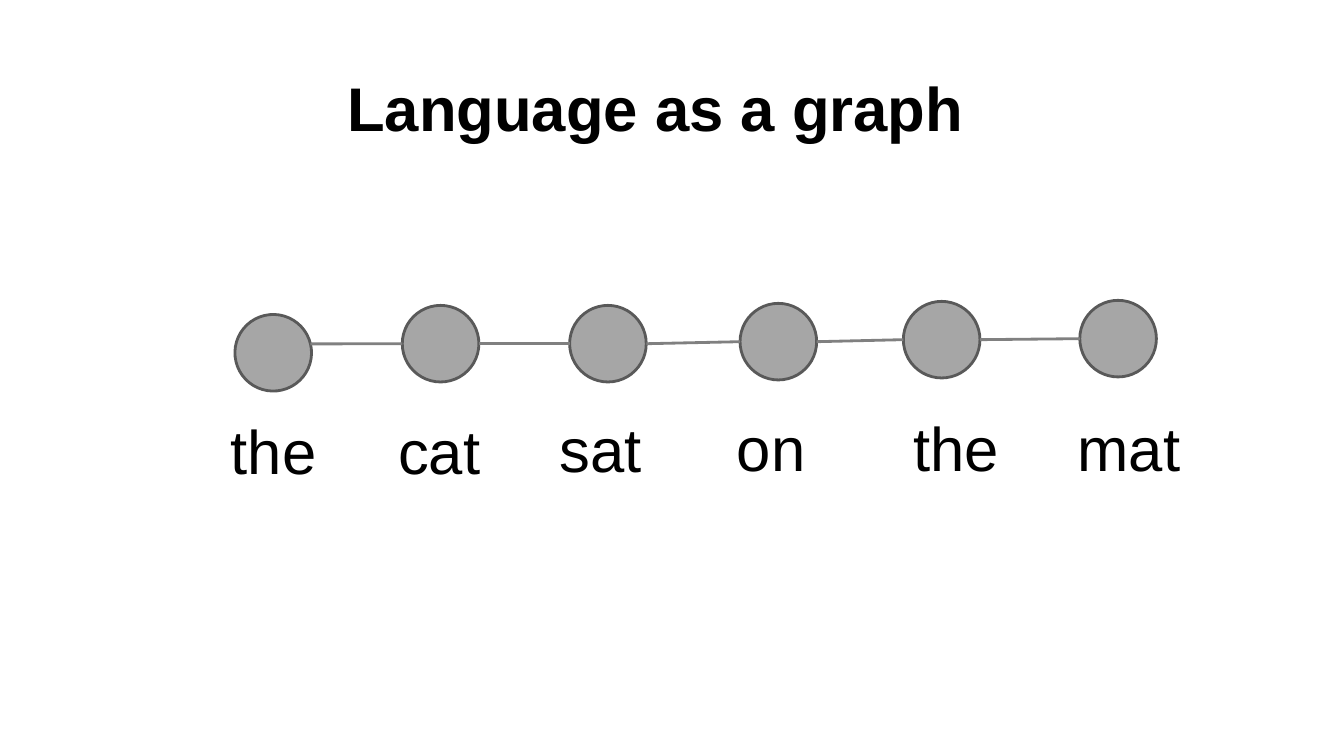
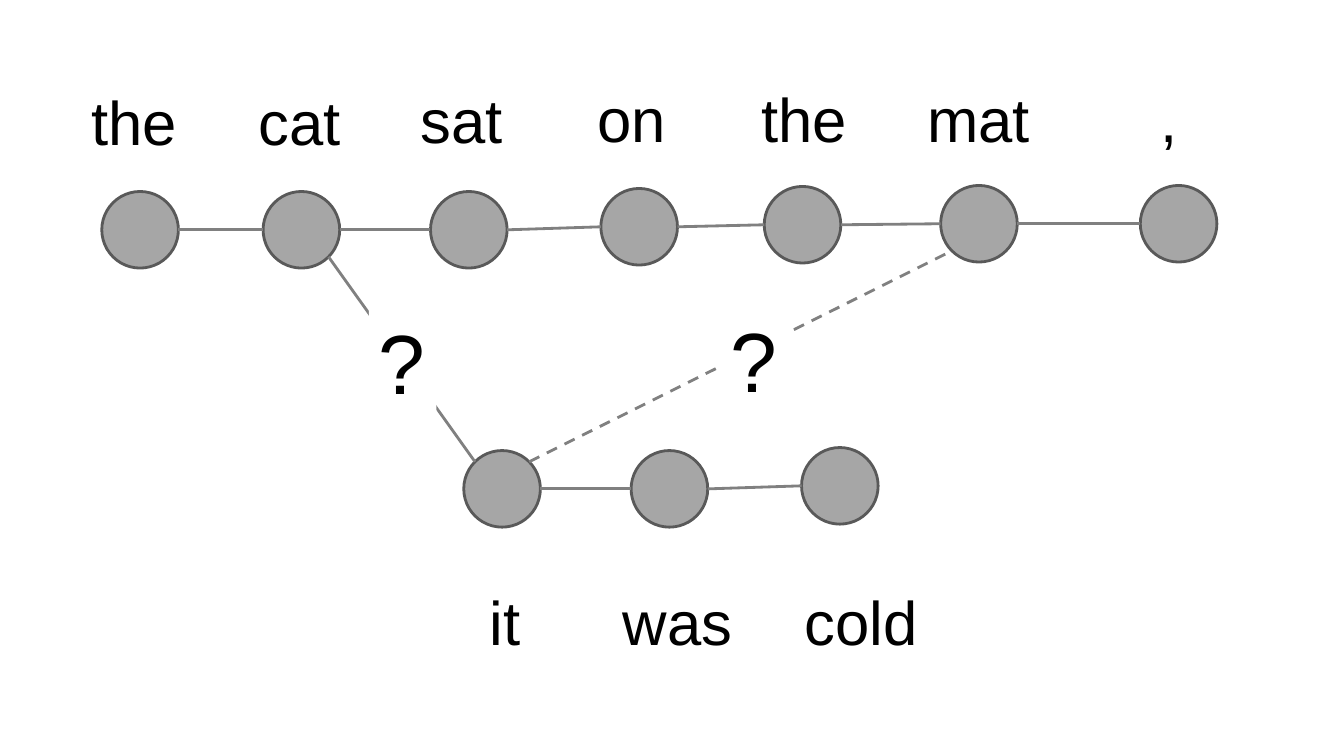
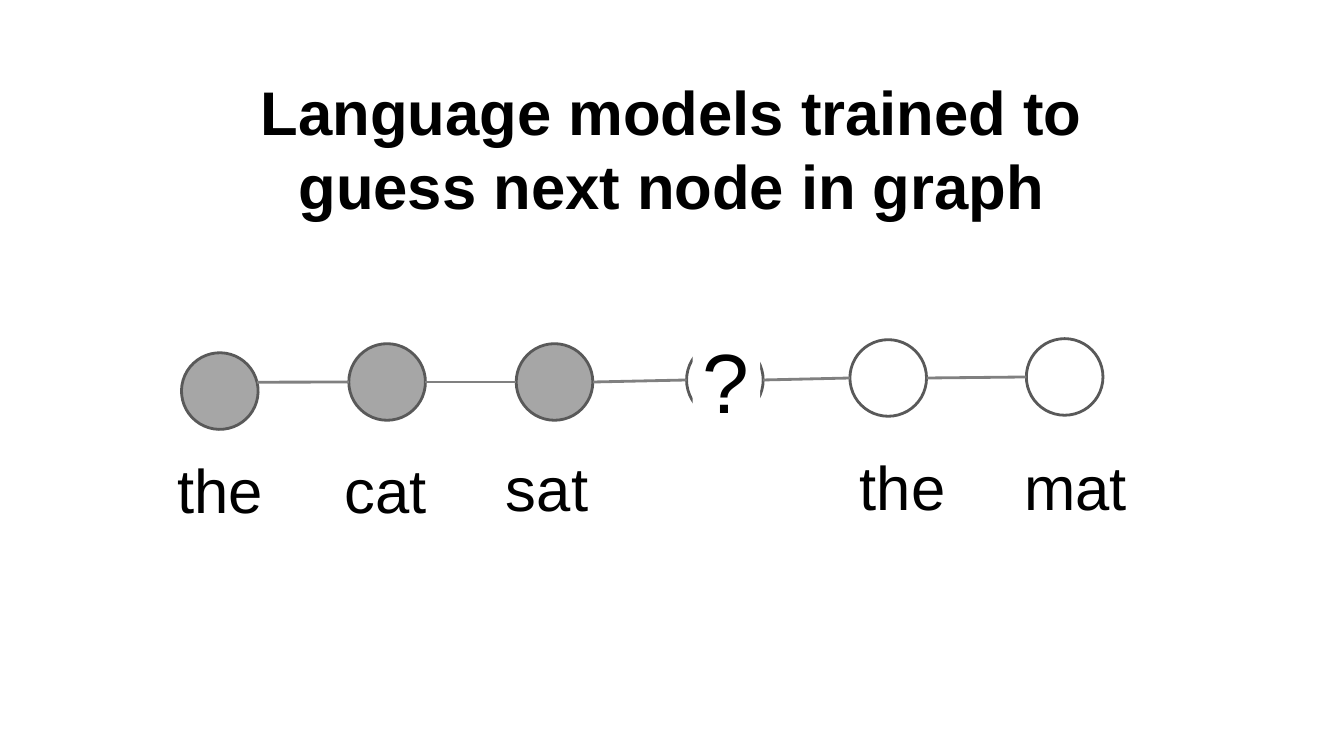
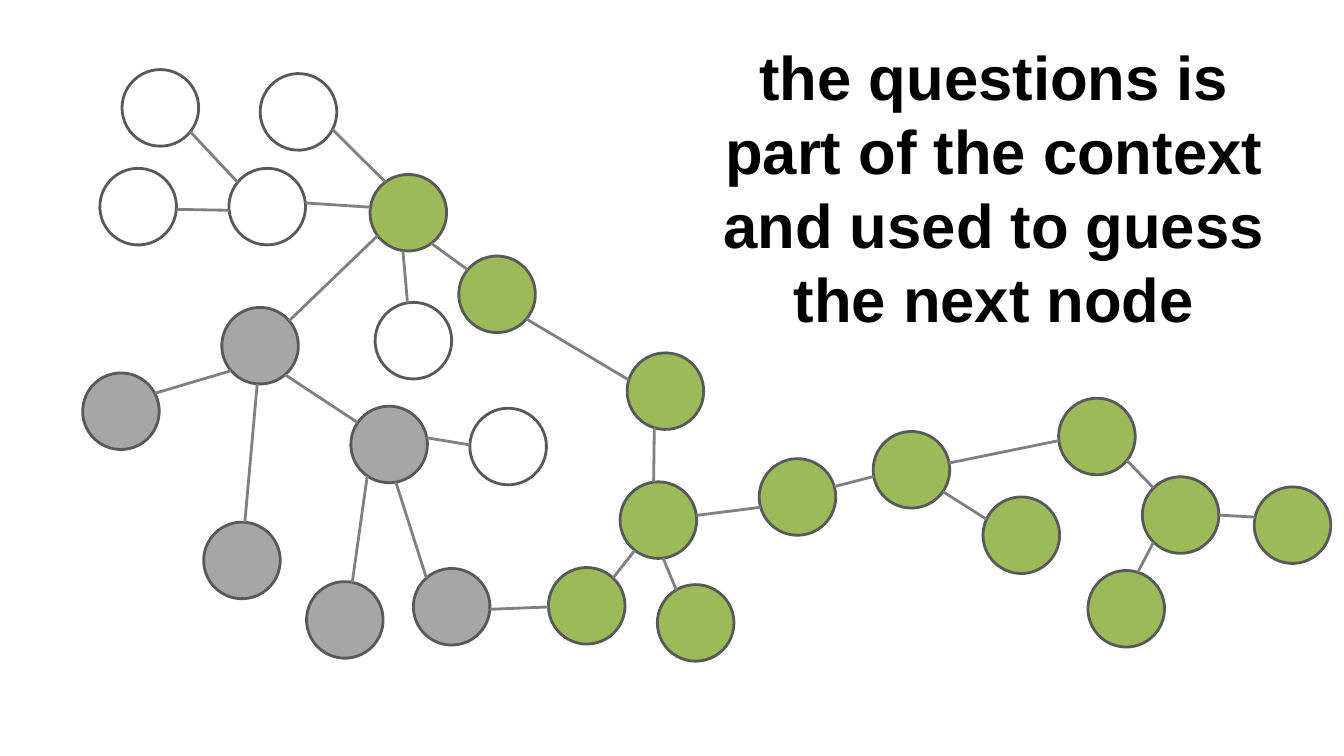
from itertools import pairwise
from math import atan2, cos, degrees, radians, sin
from typing import NamedTuple

from pptx import Presentation
from pptx.dml.color import RGBColor
from pptx.enum.dml import MSO_LINE
from pptx.enum.shapes import MSO_CONNECTOR as CONN, MSO_SHAPE as SHAPE
from pptx.enum.text import MSO_ANCHOR as ANCHOR, MSO_AUTO_SIZE as FIT, PP_ALIGN as ALIGN
from pptx.oxml.ns import qn
from pptx.util import Inches, Pt

COLORS = {
    "text": "000000",
    "white": "FFFFFF",
    "grey": "A6A6A6",
    "green": "9BBB59",
    "outline": "595959",
    "edge": "808080",
}
FONT = "Arial"
DIAMETER = 0.76
STROKE = 2
TITLE_ONLY, BLANK = 5, 6

# Box width of each word
WORD_WIDTH = {"the": 1.23, "cat": 1.2, "sat": 1.2, "on": 1.06, "mat": 1.4,
              ",": 0.55, "it": 0.51, "was": 1.3, "cold": 1.33}


class Node(NamedTuple):
    x: float
    y: float
    fill: str | None = "grey"
    rot: float = 0

    def center(self):
        return self.x + DIAMETER / 2, self.y + DIAMETER / 2

    def site_toward(self, other):
        """Of the eight sites, 45 degrees apart, the one that best faces other."""
        (cx, cy), (ox, oy) = self.center(), other.center()
        aim = degrees(atan2(oy - cy, ox - cx))
        angle = radians(self.rot + 45 * round((aim - self.rot) / 45))
        return cx + DIAMETER / 2 * cos(angle), cy + DIAMETER / 2 * sin(angle)


# The sentence that slides 1 and 3 share
SENTENCE_NODES = [Node(2.33, 3.12, rot=31.6), Node(3.99, 3.03), Node(5.65, 3.03),
                  Node(7.34, 3.01), Node(8.96, 2.99), Node(10.71, 2.98)]
SENTENCE_WORDS = [("the", 2.19, 4.05), ("cat", 3.85, 4.05), ("sat", 5.45, 4.03),
                  ("on", 7.21, 4.02), ("the", 8.96, 4.02), ("mat", 10.59, 4.02)]


def rgb(name):
    return RGBColor.from_string(COLORS[name])


def set_font(p, size, bold=False):
    p.font.name = FONT
    p.font.size = Pt(size)
    p.font.bold = bold
    p.font.color.rgb = rgb("text")


def add_title(slide, text, x, y, w, h):
    sp = slide.shapes.title
    sp.left, sp.top, sp.width, sp.height = map(Inches, (x, y, w, h))
    tf = sp.text_frame
    tf.text = text
    tf.word_wrap = True
    tf.auto_size = FIT.SHAPE_TO_FIT_TEXT
    tf.vertical_anchor = ANCHOR.TOP
    p = tf.paragraphs[0]
    p.alignment = ALIGN.CENTER
    set_font(p, 44, bold=True)


def add_label(slide, text, x, y, w, h, size):
    sp = slide.shapes.add_textbox(*map(Inches, (x, y, w, h)))
    tf = sp.text_frame
    tf.text = text
    tf.word_wrap = False
    tf.auto_size = FIT.SHAPE_TO_FIT_TEXT
    set_font(tf.paragraphs[0], size)
    return sp


def add_words(slide, words):
    for text, x, y in words:
        add_label(slide, text, x, y, WORD_WIDTH[text], 0.84, 44)


def add_question(slide, x, y):
    sp = add_label(slide, "?", x, y, 0.67, 1.11, 60)
    sp.fill.solid()
    sp.fill.fore_color.rgb = rgb("white")


def add_node(slide, node):
    sp = slide.shapes.add_shape(
        SHAPE.OVAL, *map(Inches, (node.x, node.y, DIAMETER, DIAMETER)))
    sp.shadow.inherit = False
    sp.rotation = node.rot
    if node.fill:
        sp.fill.solid()
        sp.fill.fore_color.rgb = rgb(node.fill)
    else:
        sp.fill.background()
    sp.line.color.rgb = rgb("outline")
    sp.line.width = Pt(STROKE)


def add_edge(slide, a, b, dashed=False):
    ends = a.site_toward(b) + b.site_toward(a)
    line = slide.shapes.add_connector(CONN.STRAIGHT, *map(Inches, ends))
    line.line.color.rgb = rgb("edge")
    line.line.width = Pt(STROKE)
    if dashed:
        line.line.dash_style = MSO_LINE.DASH
    sp_pr = line._element.spPr
    sp_pr.append(sp_pr.makeelement(qn("a:effectLst"), {}))


def add_graph(slide, nodes, edges):
    for node in nodes:
        add_node(slide, node)
    for a, b in edges:
        add_edge(slide, a, b)


def add_chain(slide, nodes):
    add_graph(slide, nodes, pairwise(nodes))


def language_slide(prs):
    slide = prs.slides.add_slide(prs.slide_layouts[TITLE_ONLY])
    add_title(slide, "Language as a graph", 1.91, 0.64, 9.19, 0.84)
    add_chain(slide, SENTENCE_NODES)
    add_words(slide, SENTENCE_WORDS)


def branching_slide(prs):
    slide = prs.slides.add_slide(prs.slide_layouts[BLANK])
    first = [Node(1.01, 1.9), Node(2.61, 1.9), Node(4.27, 1.9), Node(5.96, 1.87),
             Node(7.58, 1.85), Node(9.33, 1.84), Node(11.31, 1.84)]
    second = [Node(4.6, 4.47), Node(6.26, 4.47), Node(7.95, 4.44)]
    add_chain(slide, first)
    add_chain(slide, second)
    add_words(slide, [("the", 0.81, 0.78), ("cat", 2.47, 0.78), ("sat", 4.07, 0.76),
                      ("on", 5.83, 0.75), ("the", 7.45, 0.75), ("mat", 9.1, 0.75),
                      (",", 11.41, 0.75),
                      ("it", 4.76, 5.74), ("was", 6.08, 5.74), ("cold", 7.88, 5.74)])
    # What "it" may refer to
    cat, mat, it = first[1], first[5], second[0]
    add_edge(slide, cat, it)
    add_edge(slide, it, mat, dashed=True)
    add_question(slide, 3.66, 3.03)
    add_question(slide, 7.15, 3.01)


def guessing_slide(prs):
    slide = prs.slides.add_slide(prs.slide_layouts[TITLE_ONLY])
    add_title(slide, "Language models trained to guess next node in graph",
              2.07, 0.68, 9.19, 1.58)
    dx, dy, known = -0.53, 0.38, 3
    add_chain(slide, [
        Node(n.x + dx, n.y + dy, "grey" if i < known else "white", n.rot)
        for i, n in enumerate(SENTENCE_NODES)])
    add_words(slide, [(text, x + dx, y + dy) for text, x, y in SENTENCE_WORDS
                      if text != "on"])
    add_question(slide, 6.87, 3.22)


def context_slide(prs):
    slide = prs.slides.add_slide(prs.slide_layouts[TITLE_ONLY])
    add_title(slide, "the questions is part of the context and used to guess "
              "the next node", 6.79, 0.34, 6.14, 3.06)
    # Position and rotation of the nodes, by colour
    groups = {
        "grey": {"a1": (0.82, 3.7, 17.1), "a2": (2.02, 5.18, 4.3),
                 "a3": (3.48, 4.03, 349.9), "a4": (2.2, 3.05, 4.3),
                 "a5": (4.1, 5.64, 3.7), "a6": (3.04, 5.77, 56.2)},
        None: {"b1": (4.66, 4.05, 317.4), "b2": (3.72, 3, 36.2),
               "b3": (2.27, 1.67, 129.5), "b4": (2.58, 0.73, 162.3),
               "b5": (0.99, 1.67, 139.1), "b6": (1.21, 0.69, 173.5)},
        "green": {"c1": (3.67, 1.73, 278.2), "c2": (4.55, 2.54, 355),
                  "c3": (6.22, 3.5, 241.9), "c4": (6.15, 4.78, 262.9),
                  "c5": (5.44, 5.63, 313.3), "c6": (6.52, 5.8, 14.6),
                  "c7": (7.53, 4.55, 254.3), "c8": (8.66, 4.28, 304.9),
                  "c9": (9.75, 4.93, 339.7), "c10": (10.5, 3.95, 308.8),
                  "c11": (11.33, 4.73, 0), "c12": (10.79, 5.66, 62.6),
                  "c13": (12.44, 4.83, 327.1)},
    }
    nodes = {key: Node(x, y, fill, rot) for fill, group in groups.items()
             for key, (x, y, rot) in group.items()}
    # Neighbours of each hub
    links = {"a4": "a1 a2 a3", "a3": "b1 a5 a6", "c1": "a4 b2 b3 b4 c2",
             "b3": "b5 b6", "c5": "a5", "c3": "c2", "c4": "c3 c5 c6 c7",
             "c8": "c7 c9 c10", "c11": "c10 c12 c13"}
    add_graph(slide, nodes.values(),
              [(nodes[hub], nodes[key]) for hub, keys in links.items()
               for key in keys.split()])


def main():
    prs = Presentation()
    prs.slide_width, prs.slide_height = Inches(13.33), Inches(7.5)
    language_slide(prs)
    branching_slide(prs)
    guessing_slide(prs)
    context_slide(prs)
    prs.save("out.pptx")


if __name__ == "__main__":
    main()
